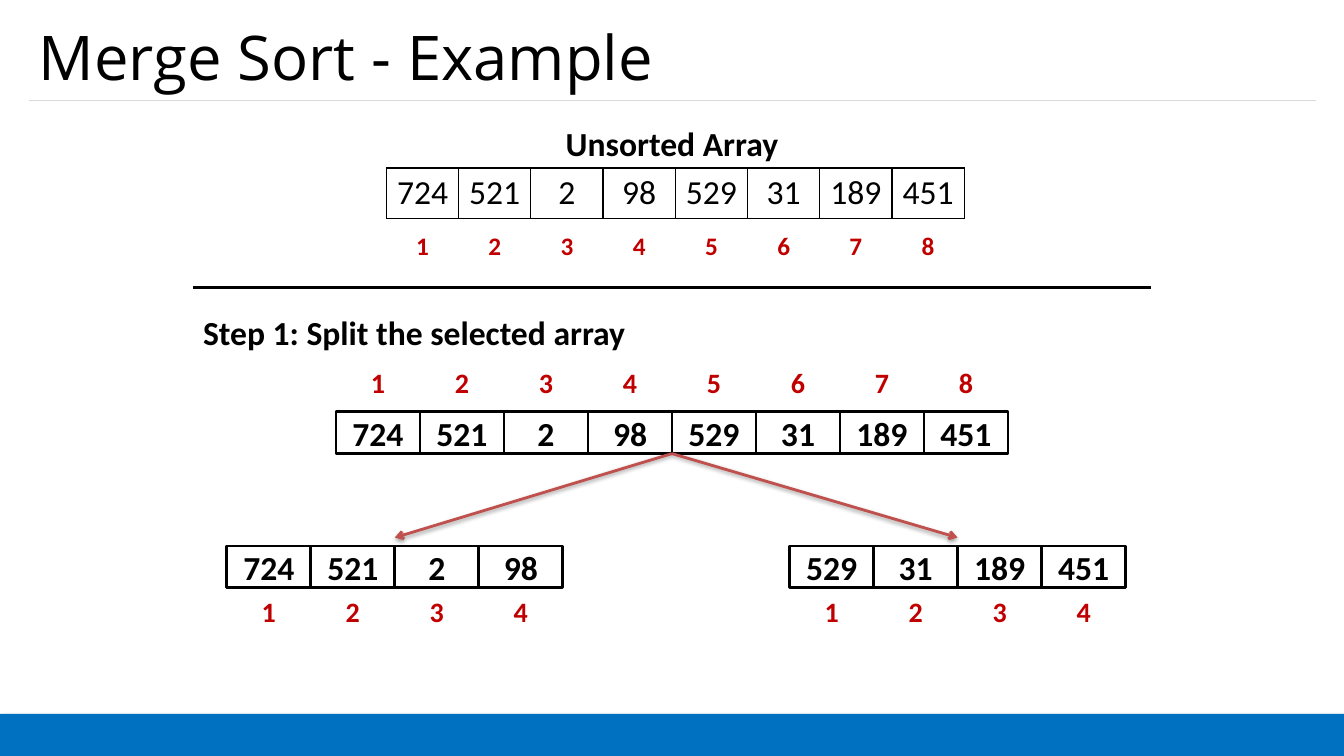
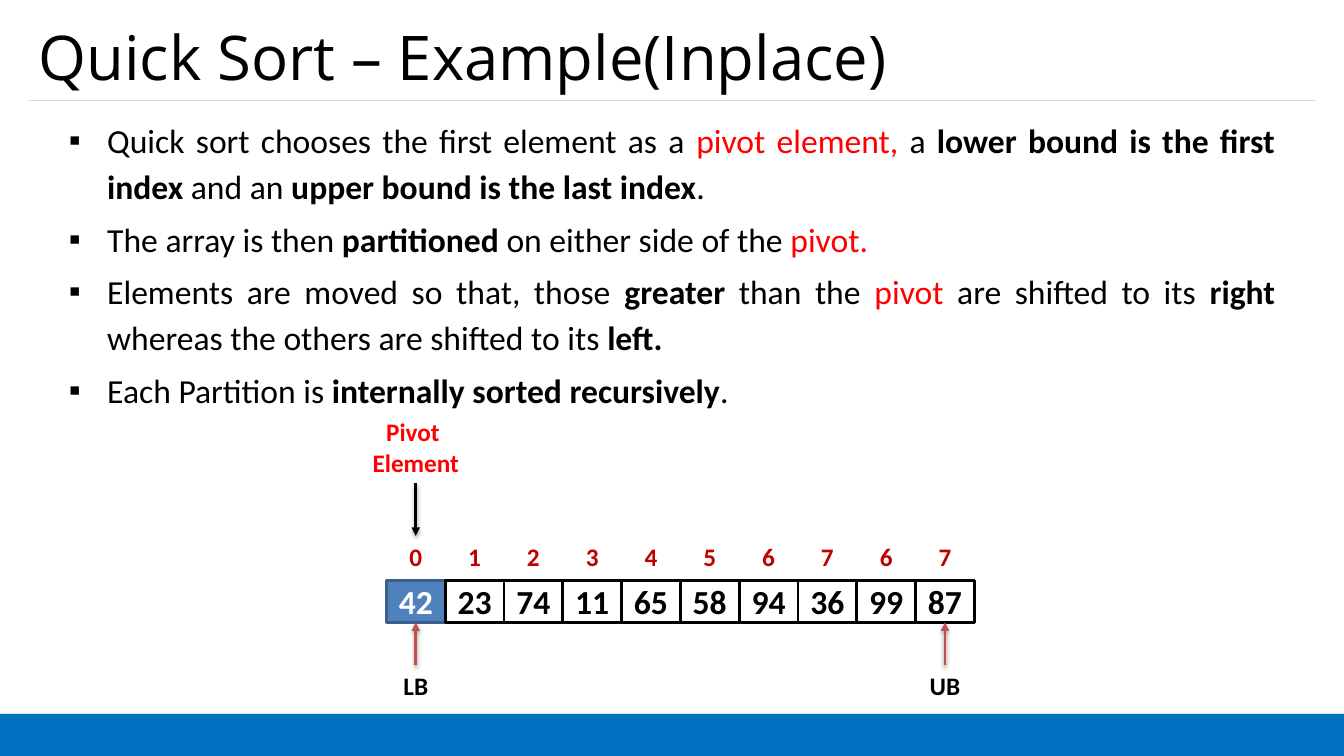
from lxml import etree
from pptx import Presentation, util as u
from pptx.dml.color import RGBColor
from pptx.enum import shapes, text
from pptx.oxml.ns import qn

INK = {
    "black": "000000", "white": "FFFFFF", "band": "0070C0", "rule": "D9D9D9",
    "index": "C00000", "red": "FF0000", "arrow": "C0504D",
    "pivot": "4F81BD", "edge": "3A5F8C",
}
COLS, ROWS = 160, 90
UNIT = u.Inches(7.5) // ROWS
LEFT, MID, FULL = text.PP_ALIGN.LEFT, text.PP_ALIGN.CENTER, text.PP_ALIGN.JUSTIFY


def hue(name):
    return RGBColor.from_string(INK[name])


def grid(*vals):
    return [u.Emu(round(v * UNIT)) for v in vals]


def node(root, tag, **attrs):
    return etree.SubElement(root, qn(tag), {k: str(v) for k, v in attrs.items()})


def write(frame, paras, size=24, ink="black", bold=False, font="Calibri",
          align=MID, lead=None, gap=None, mark=None):
    frame.word_wrap = True
    for i, runs in enumerate(paras):
        para = frame.add_paragraph() if i else frame.paragraphs[0]
        para.alignment = align
        if lead:
            para.line_spacing = lead
        if gap:
            para.space_before = u.Pt(gap)
        if mark:
            props = para._p.get_or_add_pPr()
            props.set("marL", str(u.Inches(0.38)))
            props.set("indent", str(-u.Inches(0.38)))
            node(props, "a:buChar", char=mark)
        for part in [(runs, {})] if isinstance(runs, str) else runs:
            words, look = part
            run = para.add_run()
            run.text = words
            run.font.name = font
            run.font.size = u.Pt(size)
            run.font.bold = look.get("bold", bold)
            run.font.color.rgb = hue(look.get("ink", ink))


class Deck:
    """Hold the deck's style and the current slide, and draw on a 160 by 90 grid."""

    def __init__(self):
        self.deck = Presentation()
        self.deck.slide_width, self.deck.slide_height = grid(COLS, ROWS)
        self.slide = None

    def page(self, title, body=False):
        first = self.slide is None
        self.slide = self.deck.slides.add_slide(self.deck.slide_layouts[1 if body else 5])
        self.hold(self.slide.shapes.title, 3.4, 1.4, 153.3, 10.6, [title],
                  size=44, font="Open Sans", align=LEFT)
        if first:
            self.brand()

    def brand(self):
        band = self.box("", 0, 85, COLS, 5, fill="band")
        cast = node(band._element.spPr.find(qn("a:effectLst")), "a:outerShdw",
                    blurRad=50800, dist=38100, dir=2700000, algn="tl", rotWithShape=0)
        node(node(cast, "a:srgbClr", val=INK["black"]), "a:alpha", val=40000)
        rule = self.line((3.4, 12), (156.7, 12), "rule", 0.75)
        tree = self.deck.slide_master.shapes._spTree
        for i, part in enumerate((band, rule)):
            part._element.xpath(".//p:cNvPr")[0].set("id", str(100 + i))
            tree.insert(2 + i, part._element)

    def hold(self, shape, x, y, w, h, paras, anchor=text.MSO_ANCHOR.MIDDLE, **look):
        shape.left, shape.top, shape.width, shape.height = grid(x, y, w, h)
        frame = shape.text_frame
        frame.auto_size = text.MSO_AUTO_SIZE.NONE
        frame.vertical_anchor = anchor
        write(frame, paras, **look)

    def list(self, x, y, w, h, paras):
        self.hold(self.slide.placeholders[1], x, y, w, h, paras,
                  anchor=text.MSO_ANCHOR.TOP, align=FULL, lead=1.14, gap=4.8, mark="▪")

    def label(self, paras, x, y, w, h, **look):
        box = self.slide.shapes.add_textbox(*grid(x, y, w, h))
        write(box.text_frame, paras, bold=True, **look)
        return box

    def box(self, words, x, y, w, h=5, fill="white", edge=None, **look):
        box = self.slide.shapes.add_shape(shapes.MSO_SHAPE.RECTANGLE, *grid(x, y, w, h))
        box.shadow.inherit = False
        box.fill.solid()
        box.fill.fore_color.rgb = hue(fill)
        if edge:
            box.line.color.rgb = hue(edge)
            box.line.width = u.Pt(2)
        else:
            box.line.fill.background()
        if words:
            write(box.text_frame, [words], bold=True, **look)
        return box

    def cells(self, vals, x, y, w, first=None):
        plain = {"edge": "black"}
        return [self.box(str(v), x + i * w, y, w, **(plain if i or not first else first))
                for i, v in enumerate(vals)]

    def marks(self, vals, x, y, w, size=20):
        return [self.box(str(v), x + i * w, y, w, ink="index", size=size)
                for i, v in enumerate(vals)]

    def table(self, vals, x, y, w, h, edge=False, **look):
        table = self.slide.shapes.add_table(
            1, len(vals), *grid(x, y, w * len(vals), h)).table
        table.first_row = table.horz_banding = False
        for i, val in enumerate(vals):
            cell = table.cell(0, i)
            cell.fill.background()
            write(cell.text_frame, [str(val)], **look)
            if edge:
                props = cell._tc.get_or_add_tcPr()
                for j, side in enumerate(("lnL", "lnR", "lnT", "lnB")):
                    ln = node(props, "a:" + side, w=u.Pt(1))
                    node(node(ln, "a:solidFill"), "a:srgbClr", val=INK["black"])
                    props.insert(j, ln)

    def line(self, start, end, ink, width=2, head=None):
        line = self.slide.shapes.add_connector(
            shapes.MSO_CONNECTOR.STRAIGHT, *grid(*start, *end))
        line.line.color.rgb = hue(ink)
        line.line.width = u.Pt(width)
        if head:
            node(line.line._get_or_add_ln(), "a:tailEnd", type=head)
        else:
            node(line._element.spPr, "a:effectLst")
        return line

    def join(self, start, out, end, into, ink):
        line = self.line((0, 0), (0, 0), ink, head="triangle")
        line.begin_connect(start, out)
        line.end_connect(end, into)


def merge(deck):
    vals = [724, 521, 2, 98, 529, 31, 189, 451]
    half = len(vals) // 2
    spots = range(1, len(vals) + 1)
    deck.page("Merge Sort - Example")
    deck.label(["Unsorted Array"], 60, 14, 40, 6)
    deck.table(vals, 46, 20, 8.6, 6, edge=True)
    deck.table(spots, 46, 27, 8.6, 4.9, size=18, ink="index", bold=True)
    deck.line((23, 34.2), (137, 34.2), "black", 2.25)
    deck.label(["Step 1: Split the selected array"], 23, 36.6, 111, 6, align=LEFT)
    deck.cells(vals, 40, 49, 10)
    deck.marks(spots, 40, 43, 10)
    for x, part, tip in ((27, vals[:half], 47), (94, vals[half:], 114)):
        deck.cells(part, x, 65, 10)
        deck.marks(spots[:half], x, 70.3, 10)
        deck.line((80, 54), (tip, 64), "arrow", head="arrow")


def quick(deck):
    bold, red = {"bold": True}, {"ink": "red"}
    deck.page("Quick Sort – Example(Inplace)", body=True)
    deck.list(7, 13, 146, 38, [
        [("Quick sort chooses the first element as a ", {}), ("pivot element,", red),
         (" a ", {}), ("lower bound is the first index ", bold), ("and an ", {}),
         ("upper bound is the last index", bold), (".", {})],
        [("The array is then ", {}), ("partitioned", bold),
         (" on either side of the ", {}), ("pivot.", red)],
        [("Elements are moved so that, those ", {}), ("greater", bold),
         (" than the ", {}), ("pivot", red), (" are shifted to its ", {}),
         ("right ", bold), ("whereas the others are shifted to its ", {}),
         ("left.", bold)],
        [("Each Partition is ", {}), ("internally sorted recursively", bold), (".", {})],
    ])
    x, w = 46, 7
    cells = deck.cells([42, 23, 74, 11, 65, 58, 94, 36, 99, 87], x, 69.1, w,
                       first={"fill": "pivot", "edge": "edge", "ink": "white"})
    marks = deck.marks([0, 1, 2, 3, 4, 5, 6, 7, 6, 7], x, 63.8, w, size=18)
    for name, i in (("LB", 0), ("UB", len(cells) - 1)):
        bound = deck.label([name], x + i * w, 79.2, w, 4.8, size=18)
        deck.join(bound, 0, cells[i], 2, "arrow")
    pivot = deck.label(["Pivot ", "Element"], x - w, 49, 3 * w, 8.5, size=18, ink="red")
    deck.join(pivot, 2, marks[0], 0, "black")


def main():
    deck = Deck()
    merge(deck)
    quick(deck)
    deck.deck.save("out.pptx")


if __name__ == "__main__":
    main()
